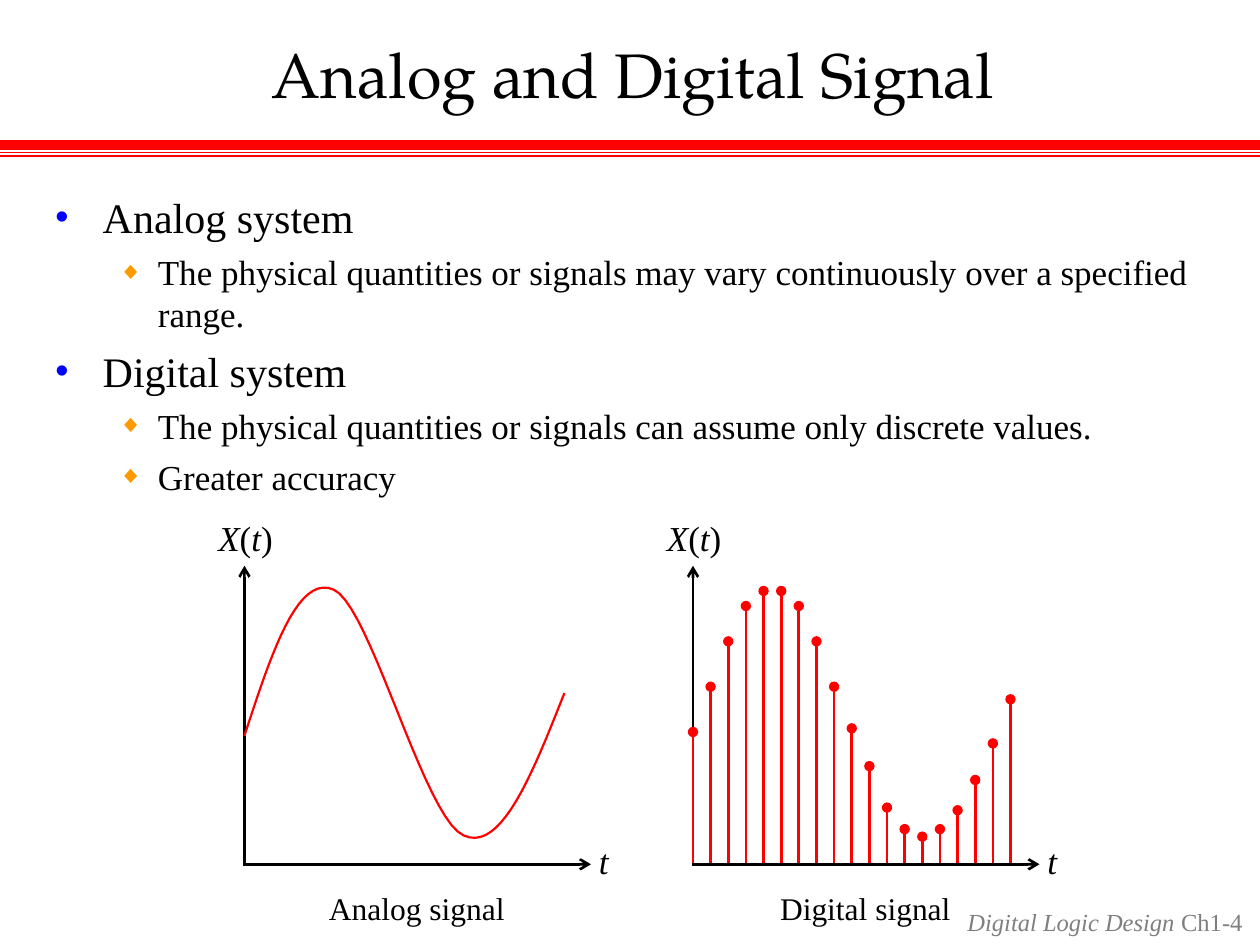
from dataclasses import dataclass

from lxml import etree
from pptx import Presentation
from pptx.dml.color import RGBColor
from pptx.enum.shapes import MSO_CONNECTOR
from pptx.enum.text import MSO_ANCHOR, MSO_AUTO_SIZE, PP_ALIGN
from pptx.oxml.ns import qn
from pptx.util import Pt

STRAIGHT = MSO_CONNECTOR.STRAIGHT
MIDDLE, TOP = MSO_ANCHOR.MIDDLE, MSO_ANCHOR.TOP
NO_AUTOFIT = MSO_AUTO_SIZE.NONE
LEFT, CENTER, RIGHT = PP_ALIGN.LEFT, PP_ALIGN.CENTER, PP_ALIGN.RIGHT


@dataclass(frozen=True)
class Theme:
    black: str = "000000"
    white: str = "FFFFFF"
    red: str = "FF0000"
    gray: str = "7F7F7F"
    bullet_colors: tuple = ("0000FF", "FF9900")
    title_font: str = "TeX Gyre Pagella"
    text_font: str = "Times New Roman"
    title_size: int = 36
    body_sizes: tuple = (24, 20)
    label_size: int = 20
    caption_size: int = 18
    footer_size: int = 14


BULLETS = ("•", "◆")
BULLET_PERCENTS = (90, 70)
INDENTS = ((27, -27), (58.5, -22.5))
SPACES_BEFORE = (6, 5)

BODY = [
    (0, "Analog system"),
    (1, "The physical quantities or signals may vary continuously over a specified range."),
    (0, "Digital system"),
    (1, "The physical quantities or signals can assume only discrete values."),
    (1, "Greater accuracy"),
]
HEADER_RULES = [(82.8, 6), (87.1, 1), (89.3, 1)]
GRAPHS = [(139.7, "Analog signal"), (396, "Digital signal")]
BASELINE = 493.9
SAMPLE_STEP = 10.08
SAMPLE_TOPS = [
    418.3, 392.4, 366.5, 346.3, 337.7, 337.7, 346.3, 366.5, 392.4, 416.2,
    437.8, 461.5, 473.8, 478.1, 473.8, 463, 445.7, 424.8, 399.6,
]
WAVE = [
    (139.7, 420.5), (154.8, 374.4), (169.9, 327.6), (190.8, 337),
    (211.7, 346.3), (242.6, 468), (265, 477.4),
    (286.6, 487.4), (304.6, 441.4), (322.6, 396),
]


def bezier_points(controls, steps=20):
    points = [controls[0]]
    for first in range(0, len(controls) - 1, 3):
        segment = controls[first:first + 4]
        for step in range(1, steps + 1):
            t = step / steps
            weights = ((1 - t) ** 3, 3 * t * (1 - t) ** 2, 3 * t * t * (1 - t), t ** 3)
            points.append(tuple(
                sum(weight * point[axis] for weight, point in zip(weights, segment))
                for axis in (0, 1)
            ))
    return points


class SlideBuilder:
    def __init__(self, slide, theme):
        self.slide = slide
        self.theme = theme

    def format_run(self, run, size, color, font=None, italic=False):
        run.font.name = font or self.theme.text_font
        run.font.size = Pt(size)
        run.font.color.rgb = RGBColor.from_string(color)
        run.font.italic = italic

    def place(self, shape, left, top, width, height):
        shape.left, shape.top = Pt(left), Pt(top)
        shape.width, shape.height = Pt(width), Pt(height)

    def title(self, text, *box):
        shape = self.slide.shapes.title
        self.place(shape, *box)
        frame = shape.text_frame
        frame.text = text
        frame.auto_size = NO_AUTOFIT
        frame.vertical_anchor = MIDDLE
        frame.margin_left = frame.margin_right = frame.margin_top = frame.margin_bottom = 0
        paragraph = frame.paragraphs[0]
        paragraph.alignment = CENTER
        self.format_run(paragraph.runs[0], self.theme.title_size, self.theme.black,
                        self.theme.title_font)

    def bullet(self, paragraph, level):
        properties = paragraph._p.get_or_add_pPr()
        margin, indent = INDENTS[level]
        properties.set("marL", str(Pt(margin)))
        properties.set("indent", str(Pt(indent)))
        color = etree.SubElement(properties, qn("a:buClr"))
        etree.SubElement(color, qn("a:srgbClr"), val=self.theme.bullet_colors[level])
        etree.SubElement(properties, qn("a:buSzPct"), val=str(BULLET_PERCENTS[level] * 1000))
        etree.SubElement(properties, qn("a:buChar"), char=BULLETS[level])

    def body(self, items, *box):
        shape = self.slide.placeholders[1]
        self.place(shape, *box)
        frame = shape.text_frame
        frame.text = "\n".join(text for _, text in items)
        frame.auto_size = NO_AUTOFIT
        frame.vertical_anchor = TOP
        for index, (paragraph, (level, _)) in enumerate(zip(frame.paragraphs, items)):
            paragraph.level = level
            self.bullet(paragraph, level)
            paragraph.alignment = LEFT
            paragraph.space_before = Pt(SPACES_BEFORE[level] if index else 0)
            self.format_run(paragraph.runs[0], self.theme.body_sizes[level], self.theme.black)

    def label(self, parts, size, color, box, alignment=LEFT):
        left, top, width, height = map(Pt, box)
        frame = self.slide.shapes.add_textbox(left, top, width, height).text_frame
        frame.word_wrap = False
        paragraph = frame.paragraphs[0]
        paragraph.alignment = alignment
        for text, italic in parts:
            run = paragraph.add_run()
            run.text = text
            self.format_run(run, size, color, italic=italic)

    def line(self, start, end, color, width, ending=None):
        connector = self.slide.shapes.add_connector(STRAIGHT, *map(Pt, start + end))
        connector.line.color.rgb = RGBColor.from_string(color)
        connector.line.width = Pt(width)
        if ending:
            etree.SubElement(connector.line._get_or_add_ln(), qn("a:tailEnd"), type=ending)
        etree.SubElement(connector._element.spPr, qn("a:effectLst"))

    def curve(self, controls):
        points = [(Pt(x), Pt(y)) for x, y in bezier_points(controls)]
        builder = self.slide.shapes.build_freeform(*points[0])
        builder.add_line_segments(points[1:], close=False)
        shape = builder.convert_to_shape()
        shape.shadow.inherit = False
        shape.fill.solid()
        shape.fill.fore_color.rgb = RGBColor.from_string(self.theme.white)
        shape.line.color.rgb = RGBColor.from_string(self.theme.red)
        shape.line.width = Pt(1.25)

    def axes(self, origin, caption):
        theme = self.theme
        self.line((origin, BASELINE), (origin, 323.3), theme.black, 1.5, "arrow")
        self.line((origin - 0.7, BASELINE), (origin + 198, BASELINE), theme.black, 1.5, "arrow")
        self.label([("X", True), ("(", False), ("t", True), (")", False)],
                   theme.label_size, theme.black, (origin - 22, 291.6, 45.4, 31.7))
        self.label([("t", True)], theme.label_size, theme.black,
                   (origin + 195.5, 476, 19.4, 31.7))
        self.label([(caption, False)], theme.caption_size, theme.black,
                   (origin + 41, 504.7, 115, 28.8), CENTER)

    def samples(self, origin, tops):
        for index, top in enumerate(tops):
            x = origin + index * SAMPLE_STEP
            self.line((x, BASELINE - 0.7), (x, top), self.theme.red, 1.5, "oval")


def main():
    presentation = Presentation()
    presentation.slide_width, presentation.slide_height = Pt(720), Pt(540)
    slide = presentation.slides.add_slide(presentation.slide_layouts[1])
    theme = Theme()
    builder = SlideBuilder(slide, theme)

    for y, width in HEADER_RULES:
        builder.line((0, y), (720, y), theme.red, width)
    builder.label([("Digital Logic Design ", True), ("Ch1", False), ("-", True), ("4", False)],
                  theme.footer_size, theme.gray, (536.4, 514.8, 180.7, 24.5), RIGHT)
    builder.title("Analog and Digital Signal", 23.8, 18, 675.4, 48.2)
    builder.body(BODY, 24.5, 105.8, 674.6, 409.7)

    for origin, caption in GRAPHS:
        builder.axes(origin, caption)
    builder.curve(WAVE)
    builder.samples(GRAPHS[1][0], SAMPLE_TOPS)

    presentation.save("out.pptx")


if __name__ == "__main__":
    main()
